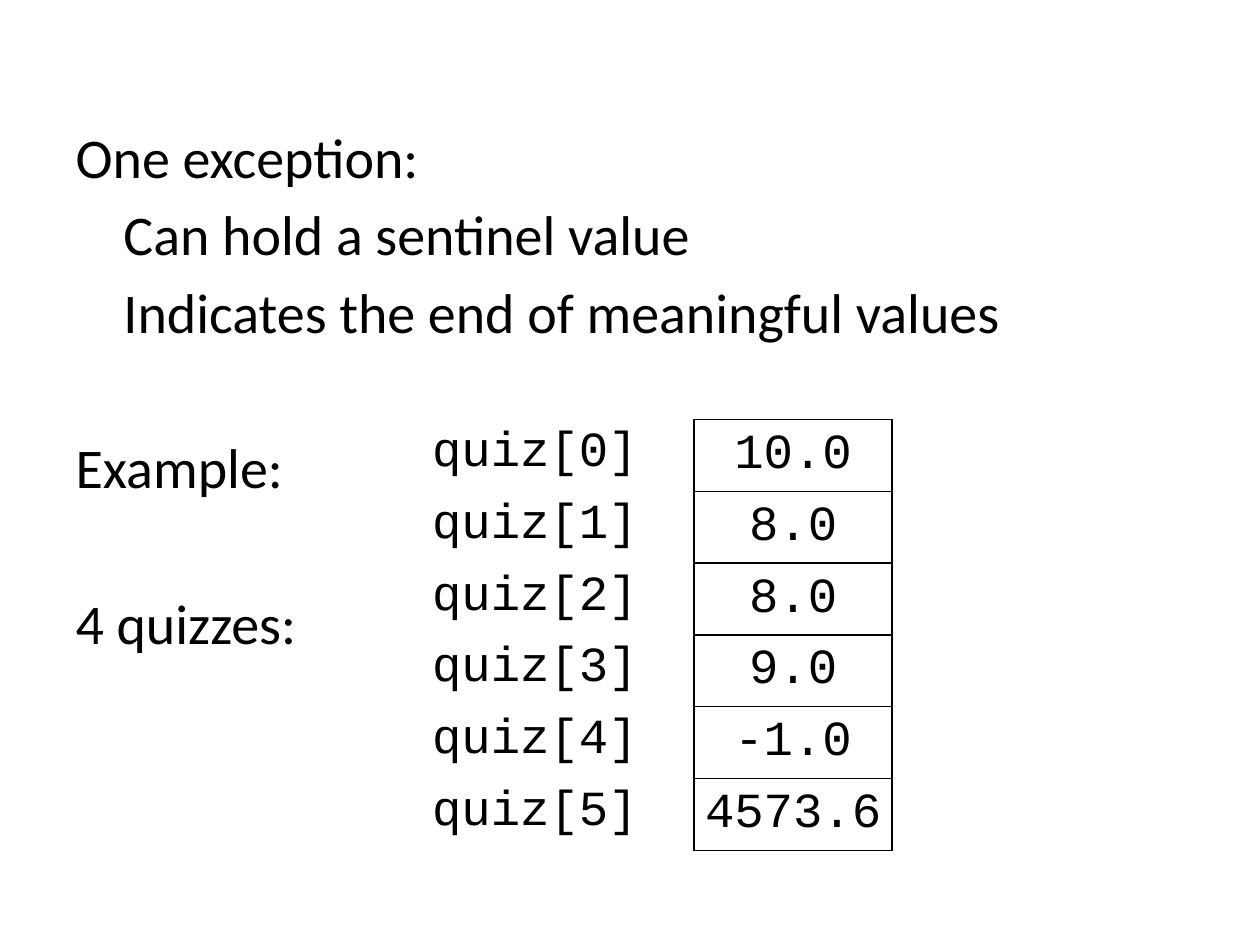
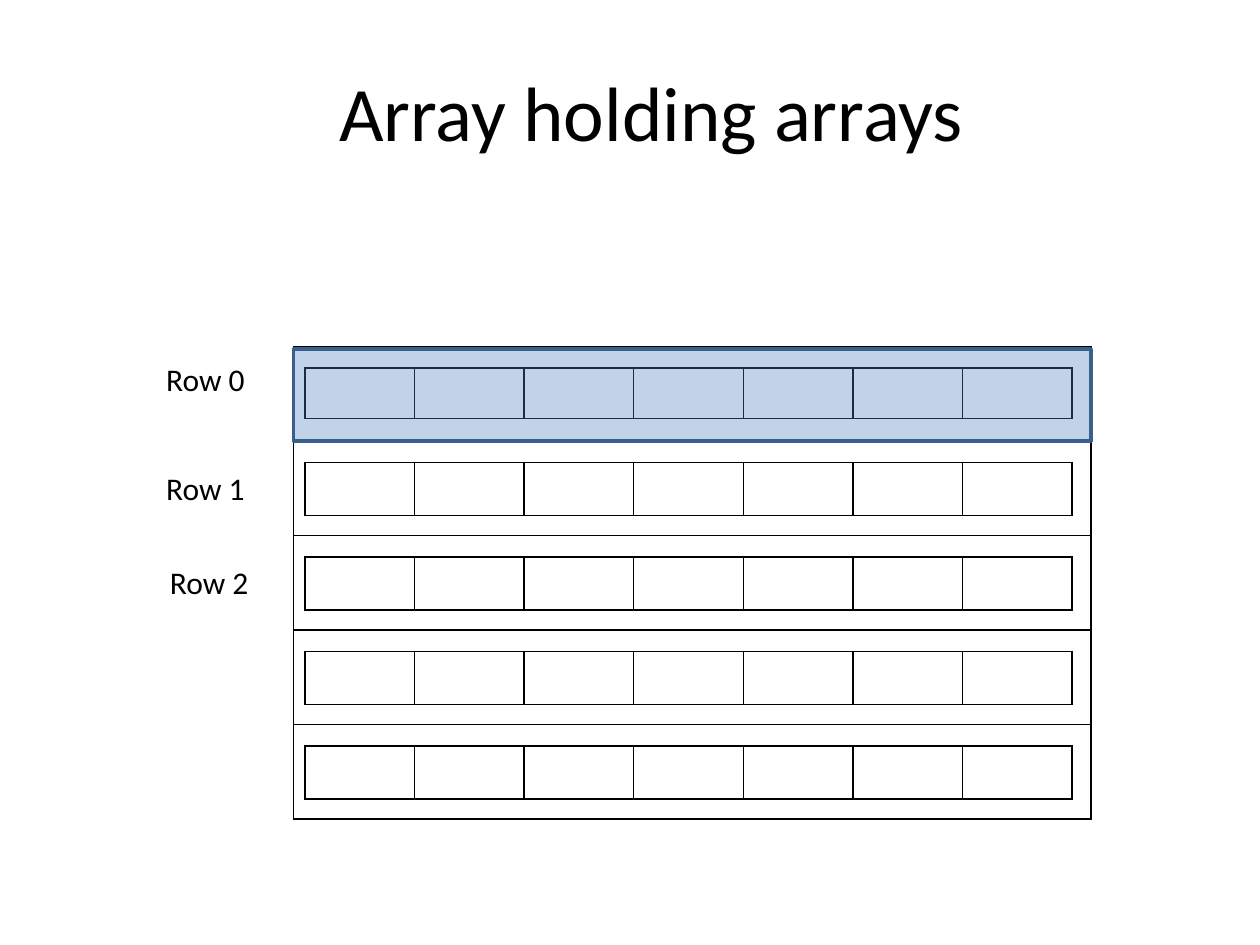
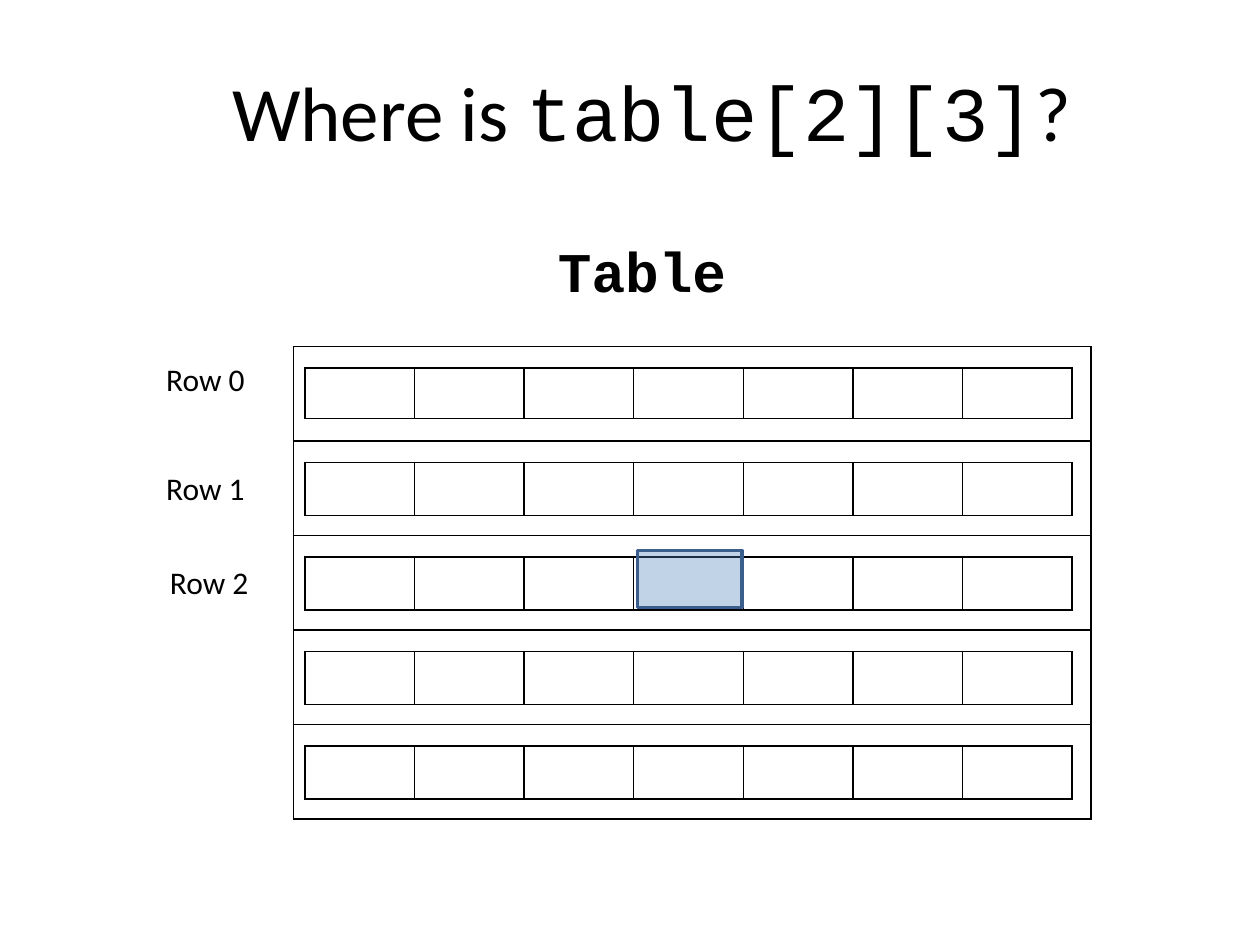
"""Build three slides on array sentinels and two-dimensional arrays."""
from dataclasses import dataclass
from typing import NamedTuple

from lxml import etree
from pptx import Presentation
from pptx.dml import color
from pptx.enum import shapes, text
from pptx.oxml import ns
from pptx import util as u


@dataclass(frozen=True)
class Theme:
    body_font: str = "Calibri"
    code_font: str = "Courier New"
    ink: str = "000000"
    accent: str = "4F81BD"
    accent_line: str = "3A5F8C"
    accent_alpha: int = 35
    title_size: float = 44
    body_size: float = 32
    code_size: float = 28
    label_size: float = 18
    line_gap: float = 5.8
    section_gap: float = 50.7
    border: float = 1
    highlight_border: float = 2


class Box(NamedTuple):
    left: float
    top: float
    width: float
    height: float

    def emu(self) -> tuple:
        return tuple(u.Inches(v) for v in self)


class Span(NamedTuple):
    text: str
    font: str


class BodyLine(NamedTuple):
    text: str
    indent: float
    gap: float


class Label(NamedTuple):
    text: str
    box: Box


T = Theme()
NO_STYLE = "{2D5ABB26-0587-4C30-8999-92F81FD0307C}"
TITLE_ONLY, TITLE_AND_CONTENT = 5, 1
ALL_SIDES = "LRTB"
TITLE_BOX = Box(0.67, 0.25, 9, 1.25)
BODY_BOX = Box(0.5, 0.92, 9, 5.78)
QUIZ_LEFT, QUIZ_TOP, QUIZ_ROW = 3.33, 3.33, 0.57
OUTER = Box(2.33, 2.75, 6.33, 3.75)
ROWS, COLUMNS = 5, 7
ROW_PITCH = OUTER.height / ROWS
INNER_LEFT, INNER_TOP, CELL_WIDTH = 2.42, 2.92, 0.87

BODY_LINES = [
    BodyLine("One exception:", 0, T.line_gap),
    BodyLine("Can hold a sentinel value", 0.38, T.line_gap),
    BodyLine("Indicates the end of meaningful values", 0.38, T.line_gap),
    BodyLine("Example:", 0, T.section_gap),
    BodyLine("4 quizzes:", 0, T.section_gap),
]
QUIZ_VALUES = ["10.0", "8.0", "8.0", "9.0", "-1.0", "4573.6"]
ROW_LABELS = [
    Label("Row 0", Box(1.22, 2.81, 0.92, 0.4)),
    Label("Row 1", Box(1.22, 3.67, 0.92, 0.4)),
    Label("Row 2", Box(1.25, 4.42, 0.92, 0.4)),
]


def place(sp, box: Box) -> None:
    sp.left, sp.top, sp.width, sp.height = box.emu()


def style_run(r, font: str, size: float, bold: bool = False) -> None:
    r.font.name = font
    r.font.size = u.Pt(size)
    r.font.bold = bold
    r.font.color.rgb = color.RGBColor.from_string(T.ink)


def add_title(slide, spans: list[Span]) -> None:
    sp = slide.shapes.title
    place(sp, TITLE_BOX)
    tf = sp.text_frame
    tf.vertical_anchor = text.MSO_ANCHOR.MIDDLE
    p = tf.paragraphs[0]
    p.alignment = text.PP_ALIGN.CENTER
    for span in spans:
        r = p.add_run()
        r.text = span.text
        style_run(r, span.font, T.title_size)


def add_body(slide, lines: list[BodyLine]) -> None:
    sp = slide.placeholders[1]
    place(sp, BODY_BOX)
    tf = sp.text_frame
    tf.text = "\n".join(line.text for line in lines)
    for p, line in zip(tf.paragraphs, lines):
        p.space_before = u.Pt(line.gap)
        pPr = p._p.get_or_add_pPr()
        pPr.set("marL", str(u.Inches(line.indent)))
        pPr.set("indent", "0")
        etree.SubElement(pPr, ns.qn("a:buNone"))
        style_run(p.runs[0], T.body_font, T.body_size)


def add_label(slide, label: Label, font: str, size: float, bold: bool = False) -> None:
    sp = slide.shapes.add_textbox(*label.box.emu())
    tf = sp.text_frame
    tf.word_wrap = True
    tf.auto_size = text.MSO_AUTO_SIZE.SHAPE_TO_FIT_TEXT
    tf.text = label.text
    style_run(tf.paragraphs[0].runs[0], font, size, bold)


def style_cell(cell, sides: str) -> None:
    tcPr = cell._tc.get_or_add_tcPr()
    for side in sides:
        ln = etree.SubElement(tcPr, ns.qn(f"a:ln{side}"), w=str(u.Pt(T.border)))
        fill = etree.SubElement(ln, ns.qn("a:solidFill"))
        etree.SubElement(fill, ns.qn("a:srgbClr"), val=T.ink)
    cell.fill.background()


def add_grid(slide, left: float, top: float, widths: list[float], heights: list[float]):
    box = Box(left, top, sum(widths), sum(heights))
    table = slide.shapes.add_table(len(heights), len(widths), *box.emu()).table
    table.first_row = table.horz_banding = False
    table._tbl.tblPr.find(ns.qn("a:tableStyleId")).text = NO_STYLE
    for column, width in zip(table.columns, widths):
        column.width = u.Inches(width)
    for row, height in zip(table.rows, heights):
        row.height = u.Inches(height)
    return table


def add_bordered_grid(slide, left: float, top: float, widths: list[float], heights: list[float]) -> None:
    for cell in add_grid(slide, left, top, widths, heights).iter_cells():
        style_cell(cell, ALL_SIDES)


def add_quiz_table(slide, values: list[str]) -> None:
    table = add_grid(slide, QUIZ_LEFT, QUIZ_TOP, [2.18, 1.57], [QUIZ_ROW] * len(values))
    for i, value in enumerate(values):
        name_cell, value_cell = table.cell(i, 0), table.cell(i, 1)
        name_cell.text = f"quiz[{i}]"
        value_cell.text = value
        value_cell.vertical_anchor = text.MSO_ANCHOR.MIDDLE
        value_cell.margin_left = value_cell.margin_right = u.Inches(0.05)
        value_cell.text_frame.paragraphs[0].alignment = text.PP_ALIGN.CENTER
        for cell, sides in ((name_cell, "R"), (value_cell, ALL_SIDES)):
            style_cell(cell, sides)
            style_run(cell.text_frame.paragraphs[0].runs[0], T.code_font, T.code_size)


def add_nested_arrays(slide) -> None:
    add_bordered_grid(slide, OUTER.left, OUTER.top, [OUTER.width], [ROW_PITCH] * ROWS)
    for label in ROW_LABELS:
        add_label(slide, label, T.body_font, T.label_size)
    for i in range(ROWS):
        height = 0.42 if i else 0.4
        add_bordered_grid(slide, INNER_LEFT, INNER_TOP + i * ROW_PITCH, [CELL_WIDTH] * COLUMNS, [height])


def add_highlight(slide, box: Box) -> None:
    sp = slide.shapes.add_shape(shapes.MSO_SHAPE.RECTANGLE, *box.emu())
    sp.shadow.inherit = False
    sp.fill.solid()
    sp.fill.fore_color.rgb = color.RGBColor.from_string(T.accent)
    clr = sp._element.spPr.find(".//" + ns.qn("a:srgbClr"))
    etree.SubElement(clr, ns.qn("a:alpha"), val=str(T.accent_alpha * 1000))
    sp.line.color.rgb = color.RGBColor.from_string(T.accent_line)
    sp.line.width = u.Pt(T.highlight_border)


def sentinel_slide(prs) -> None:
    slide = prs.slides.add_slide(prs.slide_layouts[TITLE_AND_CONTENT])
    title = slide.shapes.title._element
    title.getparent().remove(title)
    add_body(slide, BODY_LINES)
    add_quiz_table(slide, QUIZ_VALUES)


def array_slide(prs, title: list[Span], highlight: Box, caption: Label | None = None) -> None:
    slide = prs.slides.add_slide(prs.slide_layouts[TITLE_ONLY])
    add_title(slide, title)
    add_nested_arrays(slide)
    if caption:
        add_label(slide, caption, T.code_font, T.body_size, bold=True)
    add_highlight(slide, highlight)


def main() -> None:
    prs = Presentation()
    prs.slide_width, prs.slide_height = u.Inches(10), u.Inches(7.5)
    sentinel_slide(prs)
    array_slide(prs, [Span("Array holding arrays", T.body_font)], Box(OUTER.left, 2.77, OUTER.width, 0.73))
    array_slide(
        prs,
        [Span("Where is ", T.body_font), Span("table[2][3]", T.code_font), Span("?", T.body_font)],
        Box(5.06, 4.37, 0.83, 0.45),
        Label("Table", Box(4.33, 1.83, 1.71, 0.64)),
    )
    prs.save("out.pptx")


main()
